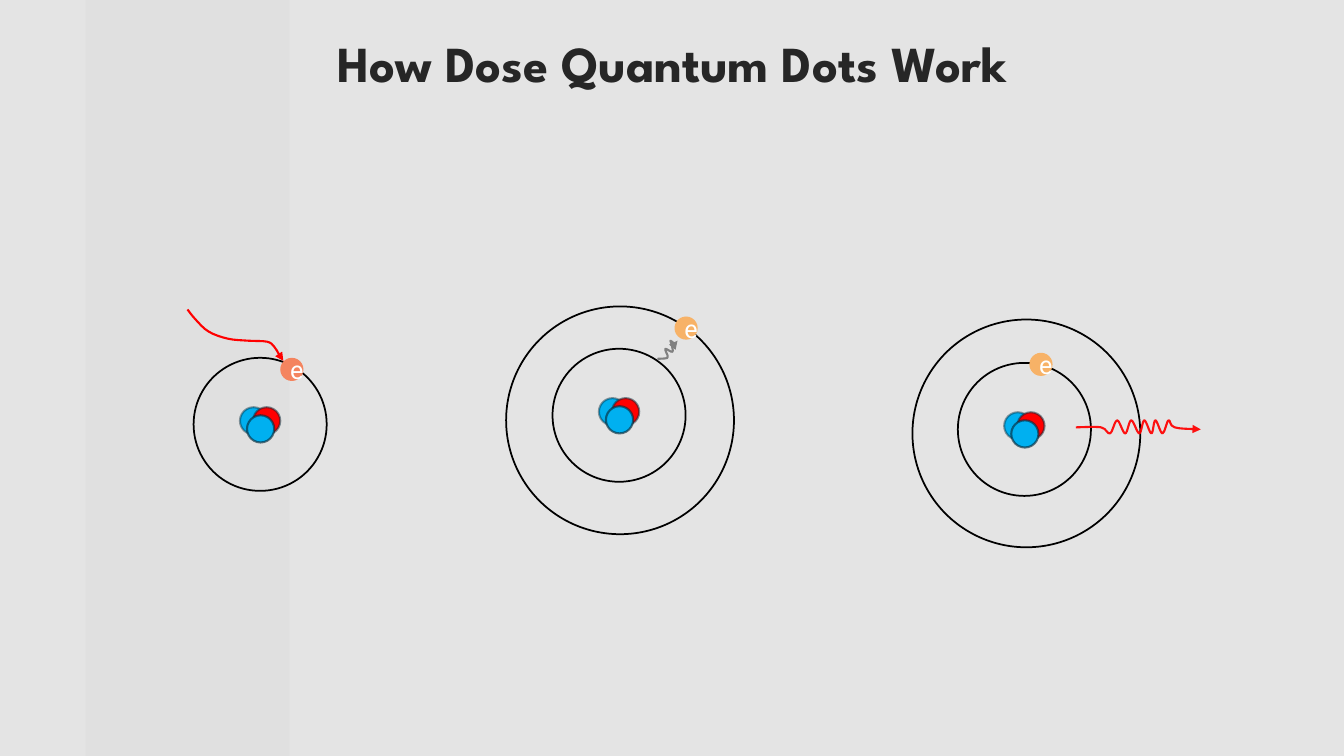
from dataclasses import dataclass
from typing import Optional

from lxml.etree import SubElement
from pptx import Presentation
from pptx.dml.color import RGBColor
from pptx.enum.shapes import MSO_SHAPE as Preset
from pptx.enum.text import MSO_ANCHOR as Anchor, PP_ALIGN as Align
from pptx.oxml.ns import qn
from pptx.util import Inches, Pt

Point = tuple[float, float]


@dataclass(frozen=True)
class Theme:
    backdrop: str = "BFBFBF"
    band: str = "808080"
    title: str = "262626"
    orbit: str = "000000"
    neutron: str = "00B0F0"
    proton: str = "FF0000"
    nucleon_edge: str = "092A39"
    excited: str = "F4845F"
    electron: str = "F7B267"
    electron_text: str = "FFFFFF"
    photon: str = "FF0000"
    jump: str = "808080"
    title_font: str = "League Spartan"
    electron_font: str = "Roboto"
    title_size: int = 36
    electron_size: int = 18
    orbit_width: float = 1.25
    arrow_width: float = 1.5


THEME = Theme()
INNER, OUTER, NUCLEON, ELECTRON = 1.32, 2.26, 0.27, 0.23


@dataclass(frozen=True)
class Nucleon:
    dx: float
    dy: float
    color: str
    edge_alpha: int


@dataclass(frozen=True)
class Atom:
    inner: Point
    outer: Optional[Point]
    electron: Point
    electron_color: str
    arrow: list[Point]
    arrow_color: str
    arrow_alpha: int = 100


# Nucleon offsets are measured from the corner of the inner orbit
NUCLEUS = [
    Nucleon(0.46, 0.49, THEME.neutron, 43),
    Nucleon(0.59, 0.49, THEME.proton, 50),
    Nucleon(0.53, 0.57, THEME.neutron, 64),
]

INCOMING = [(1.86, 3.07), (1.94, 3.17), (2.07, 3.29), (2.26, 3.36), (2.46, 3.38),
            (2.65, 3.39), (2.72, 3.44), (2.77, 3.52), (2.81, 3.58)]
JUMP = [(6.52, 3.56), (6.62, 3.55), (6.61, 3.50), (6.60, 3.46), (6.67, 3.49),
        (6.66, 3.41), (6.65, 3.38), (6.69, 3.41), (6.72, 3.43), (6.72, 3.38)]
CRESTS = [11.01, 11.08, 11.16, 11.22, 11.30, 11.35, 11.42, 11.46, 11.53, 11.59]
EMITTED = [(10.67, 4.24), (10.92, 4.24),
           *[(x, 4.17 if i % 2 else 4.30) for i, x in enumerate(CRESTS)],
           (11.65, 4.24), (11.91, 4.26)]

ATOMS = [
    Atom((1.92, 3.55), None, (2.78, 3.55), THEME.excited, INCOMING, THEME.photon),
    Atom((5.48, 3.46), (5.02, 3.04), (6.69, 3.14), THEME.electron, JUMP, THEME.jump),
    Atom((9.50, 3.60), (9.05, 3.17), (10.21, 3.50), THEME.electron, EMITTED,
         THEME.photon, 92),
]


def set_alpha(owner, percent: int) -> None:
    """Make the solid fill of a shape or line element translucent."""
    if percent < 100:
        color = owner.find(qn("a:solidFill"))[0]
        SubElement(color, qn("a:alpha"), val=str(percent * 1000))


def style(shape, fill: Optional[str] = None, line: Optional[str] = None,
          width: float = 1.5, fill_alpha: int = 100, line_alpha: int = 100) -> None:
    shape.shadow.inherit = False
    if fill:
        shape.fill.solid()
        shape.fill.fore_color.rgb = RGBColor.from_string(fill)
        set_alpha(shape._element.spPr, fill_alpha)
    else:
        shape.fill.background()
    if line:
        shape.line.color.rgb = RGBColor.from_string(line)
        shape.line.width = Pt(width)
        set_alpha(shape._element.spPr.find(qn("a:ln")), line_alpha)
    else:
        shape.line.fill.background()


def add_panel(page, left: float, width: float, color: str, alpha: int) -> None:
    panel = page.shapes.add_shape(Preset.RECTANGLE, Inches(left), 0,
                                  Inches(width), Inches(7.5))
    style(panel, fill=color, fill_alpha=alpha)


def add_circle(group, corner: Point, size: float, **look):
    circle = group.shapes.add_shape(Preset.OVAL, Inches(corner[0]), Inches(corner[1]),
                                    Inches(size), Inches(size))
    style(circle, **look)
    return circle


def add_electron(group, corner: Point, color: str) -> None:
    electron = add_circle(group, corner, ELECTRON, fill=color)
    electron.text_frame.vertical_anchor = Anchor.MIDDLE
    para = electron.text_frame.paragraphs[0]
    para.text = "e"
    para.alignment = Align.CENTER
    para.font.name = THEME.electron_font
    para.font.size = Pt(THEME.electron_size)
    para.font.color.rgb = RGBColor.from_string(THEME.electron_text)


def smooth(curve) -> None:
    """Turn the straight segments of a freeform into curves through its points."""
    points = [(int(pt.get("x")), int(pt.get("y"))) for pt in curve._element.iter(qn("a:pt"))]
    padded = [points[0], *points, points[-1]]
    segments = list(curve._element.iter(qn("a:lnTo")))
    for segment, before, start, end, after in zip(
            segments, padded, padded[1:], padded[2:], padded[3:]):
        segment.tag = qn("a:cubicBezTo")
        segment.clear()
        leaving = [s + (e - b) / 6 for b, s, e in zip(before, start, end)]
        arriving = [e - (a - s) / 6 for s, e, a in zip(start, end, after)]
        for x, y in (leaving, arriving, end):
            SubElement(segment, qn("a:pt"), x=str(round(x)), y=str(round(y)))


def add_wavy_arrow(group, points: list[Point], color: str, alpha: int) -> None:
    start, *rest = [(Inches(x), Inches(y)) for x, y in points]
    builder = group.shapes.build_freeform(*start)
    builder.add_line_segments(rest, close=False)
    arrow = builder.convert_to_shape()
    smooth(arrow)
    style(arrow, line=color, width=THEME.arrow_width, line_alpha=alpha)
    SubElement(arrow._element.spPr.find(qn("a:ln")), qn("a:tailEnd"), type="triangle")


def add_atom(page, atom: Atom) -> None:
    group = page.shapes.add_group_shape()
    orbit = {"line": THEME.orbit, "width": THEME.orbit_width}
    add_circle(group, atom.inner, INNER, **orbit)
    for part in NUCLEUS:
        corner = (atom.inner[0] + part.dx, atom.inner[1] + part.dy)
        add_circle(group, corner, NUCLEON, fill=part.color,
                   line=THEME.nucleon_edge, line_alpha=part.edge_alpha)
    if atom.outer:
        add_circle(group, atom.outer, OUTER, **orbit)
    add_electron(group, atom.electron, atom.electron_color)
    add_wavy_arrow(group, atom.arrow, atom.arrow_color, atom.arrow_alpha)


def add_title(page, text: str) -> None:
    title = page.shapes.title
    title.left, title.top = Inches(2.26), Inches(0.27)
    title.width, title.height = Inches(8.82), Inches(0.71)
    title.text_frame.vertical_anchor = Anchor.TOP
    para = title.text_frame.paragraphs[0]
    para.text = text
    para.alignment = Align.CENTER
    para.font.name = THEME.title_font
    para.font.size = Pt(THEME.title_size)
    para.font.bold = True
    para.font.color.rgb = RGBColor.from_string(THEME.title)
    # Bring the title in front of the panels
    page.shapes._spTree.append(title._element)


def main() -> None:
    deck = Presentation()
    deck.slide_width, deck.slide_height = Inches(13.33), Inches(7.5)
    page = deck.slides.add_slide(deck.slide_layouts.get_by_name("Title Only"))

    # Backdrop and title
    add_panel(page, 0, 13.33, THEME.backdrop, 42)
    add_panel(page, 0.85, 2.02, THEME.band, 4)
    add_title(page, "How Dose Quantum Dots Work")

    # Absorption, excitation, emission
    for atom in ATOMS:
        add_atom(page, atom)

    deck.save("out.pptx")


if __name__ == "__main__":
    main()
